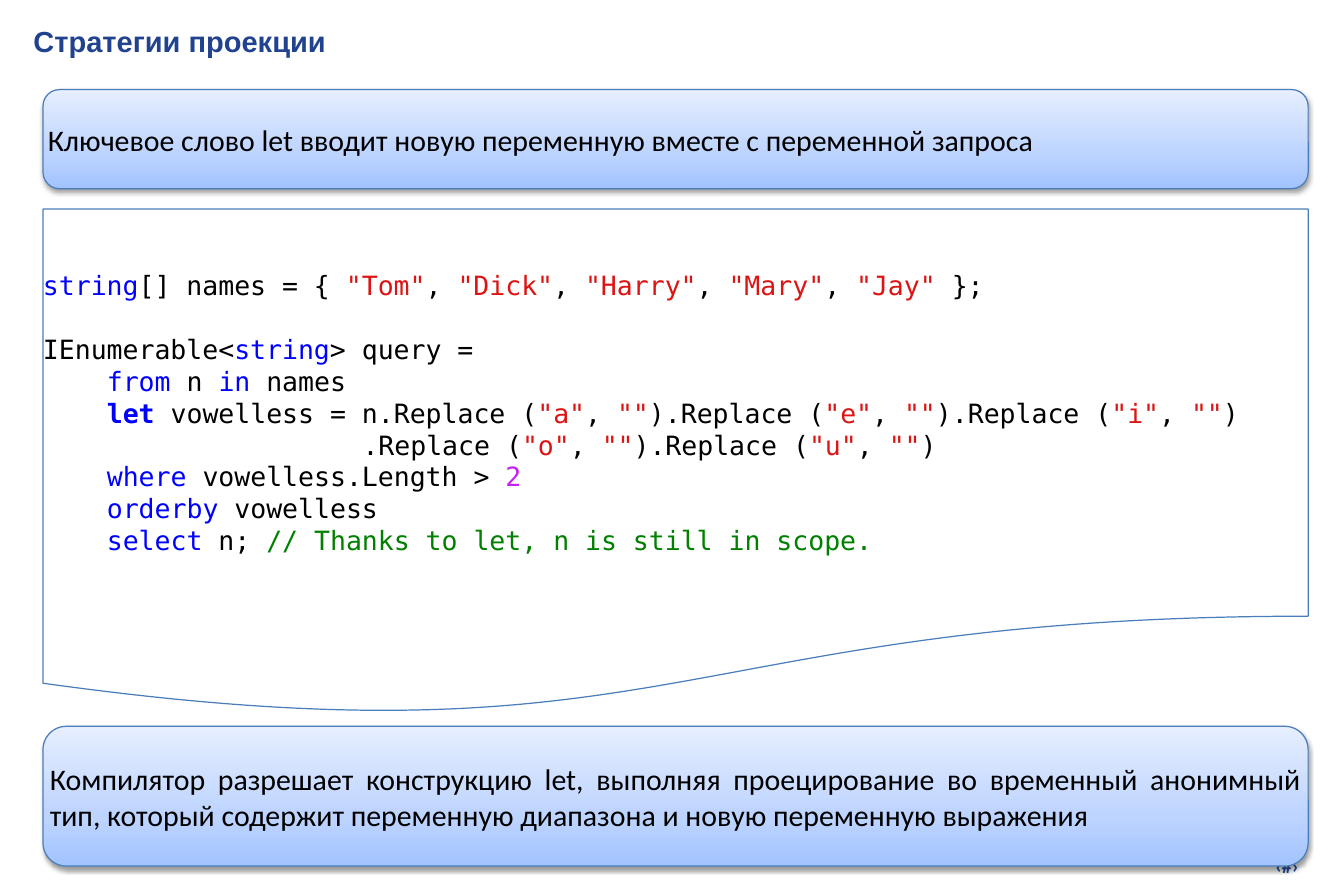
from lxml.etree import SubElement as Sub
from pptx import Presentation
from pptx.dml.color import RGBColor as Rgb
from pptx.enum.shapes import MSO_SHAPE as Kind
from pptx.enum.text import MSO_ANCHOR as Anchor, PP_ALIGN as Align
from pptx.oxml.ns import qn
from pptx.util import Pt

PX = 9144  # 100 px to the inch
HUES = {
    "title": "21438F", "page": "2750AB", "edge": "4A7EBB", "paper": "FFFFFF",
    "plain": "000000", "key": "0000FF", "bold": "0000FF", "str": "DC1414",
    "num": "C81EFA", "note": "008000",
}
BLUES = [(0, "A2C3FF"), (35, "BDD4FF"), (100, "E6EEFF")]
MONO = "DejaVu Sans Mono"
LEFT, WIDE = 36, 1059
STEP = 53.5  # four code columns
PITCH = 19.2  # code line height in points


def quoted(text):
    """Split code into plain parts and string literals."""
    parts = enumerate(text.split('"'))
    return [("str", f'"{part}"') if i % 2 else ("plain", part)
            for i, part in parts if i % 2 or part]


# Code lines: indent level, then coloured parts
CODE = [
    (0, [("key", "string"),
         *quoted('[] names = { "Tom", "Dick", "Harry", "Mary", "Jay" };')]),
    (0, [("plain", "IEnumerable<"), ("key", "string"), ("plain", "> query =")]),
    (1, [("key", "from"), ("plain", " n "), ("key", "in"), ("plain", " names")]),
    (1, [("bold", "let"),
         *quoted(' vowelless = n.Replace ("a", "").Replace ("e", "")'
                 '.Replace ("i", "")')]),
    (5, quoted('.Replace ("o", "").Replace ("u", "")')),
    (1, [("key", "where"), ("plain", " vowelless.Length > "), ("num", "2")]),
    (1, [("key", "orderby"), ("plain", " vowelless")]),
    (1, [("key", "select"), ("plain", " n; "),
         ("note", "// Thanks to let, n is still in scope.")]),
]


def write(para, text, font="Calibri", size=18, hue="plain", bold=False):
    run = para.add_run()
    run.text = text
    run.font.name = font
    run.font.size = Pt(size)
    run.font.bold = bold
    run.font.color.rgb = Rgb.from_string(HUES[hue])


def setup(frame, anchor, inset=0):
    frame.word_wrap = True
    frame.vertical_anchor = anchor
    frame.margin_left = frame.margin_right = inset * PX
    frame.margin_top = frame.margin_bottom = inset * PX
    return frame


def label(slide, box, text, align=Align.LEFT, inset=0, **look):
    area = slide.shapes.add_textbox(*(n * PX for n in box))
    para = setup(area.text_frame, Anchor.TOP, inset).paragraphs[0]
    para.alignment = align
    write(para, text, **look)


def block(slide, kind, top, high):
    shape = slide.shapes.add_shape(kind, LEFT * PX, top * PX, WIDE * PX, high * PX)
    shape.shadow.inherit = False
    shape.line.color.rgb = Rgb.from_string(HUES["edge"])
    shape.line.width = Pt(0.75)
    setup(shape.text_frame, Anchor.MIDDLE)
    return shape


def panel(slide, top, high, text):
    shape = block(slide, Kind.ROUNDED_RECTANGLE, top, high)

    # Gradient, dark at the bottom
    shape.fill.gradient()
    shape.fill.gradient_angle = 90
    props = shape._element.spPr
    stops = props.find(".//" + qn("a:gsLst"))
    for old in list(stops):
        stops.remove(old)
    for pos, tint in BLUES:
        stop = Sub(stops, qn("a:gs"), pos=str(pos * 1000))
        Sub(stop, qn("a:srgbClr"), val=tint)

    # Soft shadow below
    shade = Sub(props.find(qn("a:effectLst")), qn("a:outerShdw"),
                blurRad="38100", dist="20000", dir="5400000", rotWithShape="0")
    tone = Sub(shade, qn("a:srgbClr"), val=HUES["plain"])
    Sub(tone, qn("a:alpha"), val="38000")

    para = shape.text_frame.paragraphs[0]
    para.alignment = Align.JUSTIFY
    para.space_before = Pt(10)
    write(para, text)


def sheet(slide, top, high):
    shape = block(slide, Kind.FLOWCHART_DOCUMENT, top, high)
    shape.fill.solid()
    shape.fill.fore_color.rgb = Rgb.from_string(HUES["paper"])
    frame = shape.text_frame
    for row, (level, parts) in enumerate(CODE):
        para = frame.add_paragraph() if row else frame.paragraphs[0]
        para.alignment = Align.LEFT
        para.line_spacing = Pt(PITCH)
        para.space_before = Pt(PITCH if row == 1 else 0)
        para._p.get_or_add_pPr().set("marL", str(int(level * STEP * PX)))
        for hue, text in parts:
            write(para, text, font=MONO, size=16, hue=hue, bold=hue == "bold")


def main():
    deck = Presentation()
    deck.slide_width, deck.slide_height = 1125 * PX, 750 * PX
    slide = deck.slides.add_slide(deck.slide_layouts[6])

    # Page number and title
    label(slide, (854, 710, 238, 29), "‹#›", align=Align.RIGHT, inset=5,
          size=12, hue="page", bold=True)
    label(slide, (28, 20, 1074, 40), "Стратегии проекции",
          font="Arial", size=17.5, hue="title", bold=True)

    # Code between two statements
    sheet(slide, 175, 425)
    panel(slide, 75, 83,
          "Ключевое слово let вводит новую переменную вместе с переменной запроса")
    panel(slide, 608, 117,
          "Компилятор разрешает конструкцию let, выполняя проецирование во "
          "временный анонимный тип, который содержит переменную диапазона "
          "и новую переменную выражения")

    deck.save("out.pptx")


if __name__ == "__main__":
    main()
